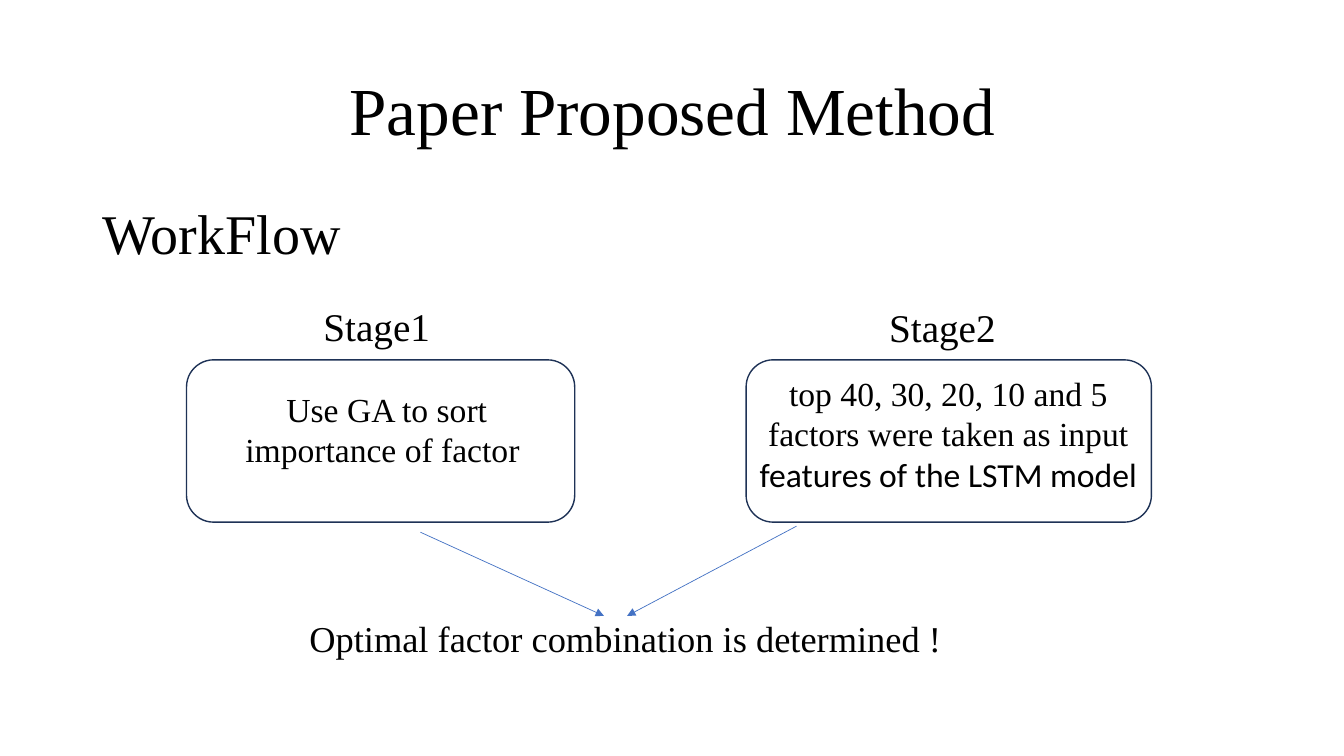
from lxml import etree
from pptx import Presentation
from pptx.dml.color import RGBColor
from pptx.enum.shapes import MSO_CONNECTOR, MSO_SHAPE
from pptx.enum.text import MSO_ANCHOR, PP_ALIGN
from pptx.oxml.ns import qn
from pptx.util import Pt

PX = 9144
BLACK = RGBColor(0x00, 0x00, 0x00)
NAVY = RGBColor(0x1E, 0x32, 0x56)
BLUE = RGBColor(0x44, 0x72, 0xC4)
SERIF = "Times New Roman"
SANS = "Calibri"
LEFT, CENTER = PP_ALIGN.LEFT, PP_ALIGN.CENTER
TOP, MIDDLE = MSO_ANCHOR.TOP, MSO_ANCHOR.MIDDLE
ROUND = MSO_SHAPE.ROUNDED_RECTANGLE
STRAIGHT = MSO_CONNECTOR.STRAIGHT


class Board:
    """Holds the slide and its style, and draws each kind of element."""

    def __init__(self, deck):
        self.slide = deck.slides.add_slide(deck.slide_layouts[5])
        self.shapes = self.slide.shapes

    def fill(self, shape, runs, size, align, anchor=TOP, space=1.0):
        frame = shape.text_frame
        frame.word_wrap = True
        frame.vertical_anchor = anchor
        para = frame.paragraphs[0]
        para.alignment = align
        para.line_spacing = space
        for text, face in runs:
            run = para.add_run()
            run.text = text
            run.font.name = face
            run.font.size = Pt(size)
            run.font.color.rgb = BLACK

    def title(self, text, box, size):
        shape = self.shapes.title
        shape.left, shape.top, shape.width, shape.height = (n * PX for n in box)
        self.fill(shape, [(text, SERIF)], size, CENTER, MIDDLE, 0.9)

    def text(self, runs, box, size, align=LEFT, space=1.0):
        shape = self.shapes.add_textbox(*(n * PX for n in box))
        self.fill(shape, runs, size, align, space=space)

    def frame(self, box):
        shape = self.shapes.add_shape(ROUND, *(n * PX for n in box))
        shape.shadow.inherit = False
        shape.fill.background()
        shape.line.color.rgb = NAVY
        shape.line.width = Pt(1)

    def arrow(self, start, end):
        link = self.shapes.add_connector(STRAIGHT, *(n * PX for n in start + end))
        link.line.color.rgb = BLUE
        link.line.width = Pt(0.5)
        props = link.element.spPr
        etree.SubElement(props.find(qn("a:ln")), qn("a:tailEnd"), type="triangle")
        etree.SubElement(props, qn("a:effectLst"))


def main():
    deck = Presentation()
    deck.slide_width, deck.slide_height = 1333 * PX, 750 * PX
    board = Board(deck)
    board.title("Paper Proposed Method", (92, 40, 1150, 145), 48)
    board.text([("WorkFlow", SERIF)], (92, 200, 1150, 476), 40, space=0.9)

    sort = [("Use GA to sort importance of factor ", SERIF)]
    pick = [
        ("top 40, 30, 20, 10 and 5 factors were taken as input ", SERIF),
        ("features of the LSTM model", SANS),
    ]
    stages = [
        ("Stage1", (311, 295, 211, 57), (185, 357, 385, 161),
         sort, (219, 381, 329, 91), (417, 528), (599, 611)),
        ("Stage2", (872, 296, 211, 57), (740, 357, 402, 161),
         pick, (733, 365, 415, 131), (790, 522), (622, 611)),
    ]
    for name, head, frame, runs, body, start, end in stages:
        board.text([(name, SERIF)], head, 28)
        board.frame(frame)
        board.text(runs, body, 24, CENTER)
        board.arrow(start, end)

    result = [("Optimal factor combination is determined !", SERIF)]
    board.text(result, (297, 606, 690, 54), 26)
    deck.save("out.pptx")


if __name__ == "__main__":
    main()
